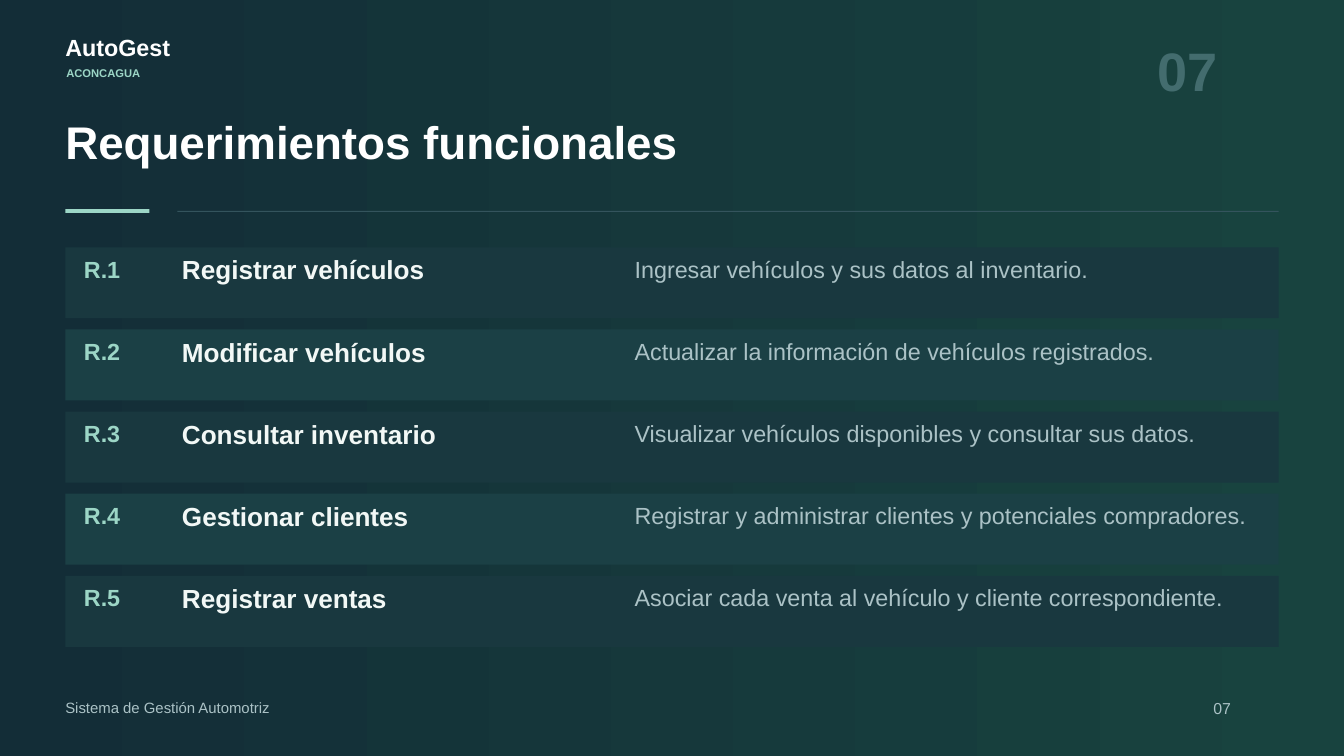
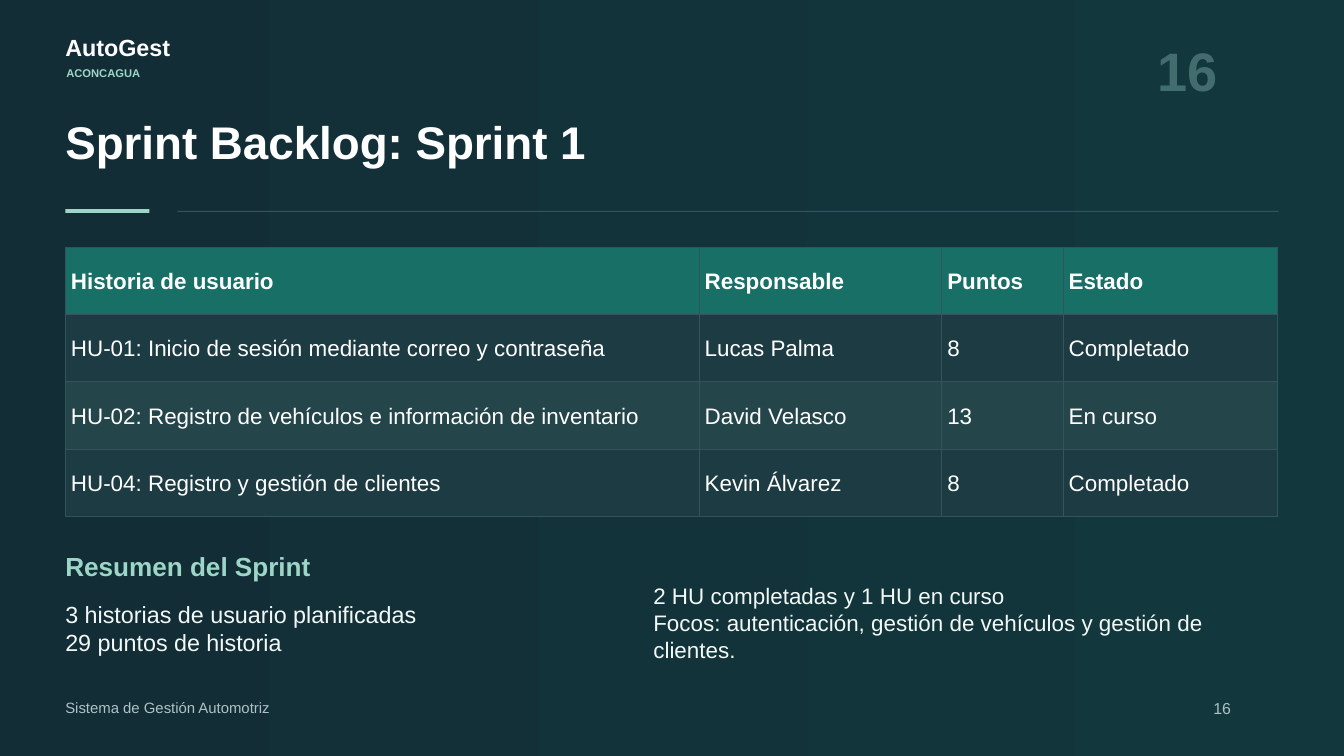
import pptx
import pptx.dml.color
import pptx.enum.shapes
import pptx.enum.text
import pptx.oxml
import pptx.oxml.ns
import pptx.util

RGBColor = pptx.dml.color.RGBColor
Pt = pptx.util.Pt

WHITE = RGBColor(0xFF, 0xFF, 0xFF)
OFF_WHITE = RGBColor(0xF2, 0xF8, 0xF6)
MINT = RGBColor(0x9C, 0xD6, 0xC6)
GREY = RGBColor(0xAB, 0xC2, 0xC6)
FADED = RGBColor(0x43, 0x6C, 0x6E)
LINE = RGBColor(0x34, 0x54, 0x5D)
NIGHT = RGBColor(0x13, 0x2D, 0x37)
FOREST = RGBColor(0x18, 0x43, 0x3F)
DEEP_TEAL = RGBColor(0x12, 0x38, 0x3D)
ROW_FILLS = (RGBColor(0x19, 0x38, 0x3F), RGBColor(0x1B, 0x40, 0x45))
HEADER_FILL = RGBColor(0x17, 0x6F, 0x66)
CELL_FILLS = (RGBColor(0x1C, 0x3B, 0x43), RGBColor(0x24, 0x46, 0x4B))

PX = 12700  # EMU per px
WIDTH, HEIGHT = 1440, 810
LEFT, CONTENT_W, CONTENT_TOP = 70, 1300, 265
TITLE_ONLY, TWO_CONTENT = 5, 3

REQUIREMENTS = (
    ("Registrar vehículos", "Ingresar vehículos y sus datos al inventario."),
    ("Modificar vehículos", "Actualizar la información de vehículos registrados."),
    ("Consultar inventario", "Visualizar vehículos disponibles y consultar sus datos."),
    ("Gestionar clientes", "Registrar y administrar clientes y potenciales compradores."),
    ("Registrar ventas", "Asociar cada venta al vehículo y cliente correspondiente."),
)
BACKLOG = (
    ("Historia de usuario", "Responsable", "Puntos", "Estado"),
    ("HU-01: Inicio de sesión mediante correo y contraseña", "Lucas Palma", "8", "Completado"),
    ("HU-02: Registro de vehículos e información de inventario", "David Velasco", "13", "En curso"),
    ("HU-04: Registro y gestión de clientes", "Kevin Álvarez", "8", "Completado"),
)


def assign(obj, values):
    for name, value in values.items():
        setattr(obj, name, value)


def place(sp, box):
    assign(sp, dict(zip(("left", "top", "width", "height"), (v * PX for v in box))))


class Deck:
    font = "Arial"
    frame = {
        "margin_left": 0, "margin_top": 0, "margin_right": 0, "margin_bottom": 0,
        "word_wrap": True,
        "vertical_anchor": pptx.enum.text.MSO_ANCHOR.TOP,
        "auto_size": pptx.enum.text.MSO_AUTO_SIZE.SHAPE_TO_FIT_TEXT,
    }

    def __init__(self):
        self.prs = pptx.Presentation()
        assign(self.prs, {"slide_width": WIDTH * PX, "slide_height": HEIGHT * PX})
        self.slide = None

    def start(self, layout, number, title, end_color):
        """Add a slide with its gradient, header, title and footer."""
        self.slide = self.prs.slides.add_slide(self.prs.slide_layouts[layout])
        fill = self.slide.background.fill
        fill.gradient()
        fill.gradient_angle = 0
        for stop, color in zip(fill.gradient_stops, (NIGHT, end_color)):
            stop.color.rgb = color
        self.text((LEFT, 35, 240, 35), "AutoGest", 25, WHITE, True)
        self.text((71, 71, 250, 24), "ACONCAGUA", 12, MINT, True)
        self.text((1240, 40, 130, 76), number, 58, FADED, True)
        self.placeholder(0, (LEFT, 122, CONTENT_W, 102), title, 49, WHITE, True)
        self.bar((LEFT, 224, 90, 4), MINT)
        self.bar((190, 226, 1180, 1), LINE)
        self.text((1300, 749, 70, 30), number, 17, GREY)
        self.text((LEFT, 749, 600, 30), "Sistema de Gestión Automotriz", 16, GREY)

    def set_text(self, tf, text, size, color, bold=False):
        tf.text = text
        for p in tf.paragraphs:
            assign(p, {"line_spacing": Pt(size * 1.2), "space_before": Pt(0),
                       "alignment": pptx.enum.text.PP_ALIGN.LEFT})
            for r in p.runs:
                assign(r.font, {"name": self.font, "size": Pt(size), "bold": bold})
                r.font.color.rgb = color

    def text(self, box, *style):
        sp = self.slide.shapes.add_textbox(*(v * PX for v in box))
        assign(sp.text_frame, self.frame)
        self.set_text(sp.text_frame, *style)

    def placeholder(self, idx, box, *style):
        sp = self.slide.placeholders[idx]
        place(sp, box)
        assign(sp.text_frame, self.frame)
        self.set_text(sp.text_frame, *style)
        if idx:
            for p in sp.text_frame.paragraphs:
                self.drop_bullet(p)

    def drop_bullet(self, p):
        pPr = p._p.get_or_add_pPr()
        pPr.set("marL", "0")
        pPr.set("indent", "0")
        pPr.append(pptx.oxml.parse_xml(
            f"<a:buNone {pptx.oxml.ns.nsdecls('a')}/>"))

    def bar(self, box, color):
        sp = self.slide.shapes.add_shape(
            pptx.enum.shapes.MSO_SHAPE.RECTANGLE, *(v * PX for v in box))
        sp.shadow.inherit = False
        sp.fill.solid()
        sp.fill.fore_color.rgb = color
        sp.line.fill.background()

    def table(self, left, top, widths, row_h, rows):
        table = self.slide.shapes.add_table(
            len(rows), len(widths), left * PX, top * PX,
            sum(widths) * PX, row_h * len(rows) * PX).table
        table.horz_banding = False
        for column, width in zip(table.columns, widths):
            column.width = width * PX
        for i, row in enumerate(rows):
            color = CELL_FILLS[(i - 1) % 2] if i else HEADER_FILL
            for j, text in enumerate(row):
                self.cell(table.cell(i, j), text, color, i == 0)

    def cell(self, cell, text, color, bold):
        margins = ("margin_left", "margin_top", "margin_right", "margin_bottom")
        assign(cell, dict.fromkeys(margins, 6 * PX))
        cell.vertical_anchor = pptx.enum.text.MSO_ANCHOR.MIDDLE
        tcPr = cell._tc.get_or_add_tcPr()
        for side in "LRTB":
            tcPr.append(pptx.oxml.parse_xml(
                f"<a:ln{side} {pptx.oxml.ns.nsdecls('a')} w=\"{int(Pt(0.75))}\"><a:solidFill>"
                f"<a:srgbClr val=\"{LINE}\"/></a:solidFill></a:ln{side}>"))
        cell.fill.solid()
        cell.fill.fore_color.rgb = color
        self.set_text(cell.text_frame, text, 24, WHITE, bold)


def requirements_slide(deck):
    deck.start(TITLE_ONLY, "07", "Requerimientos funcionales", FOREST)
    for i, (name, detail) in enumerate(REQUIREMENTS):
        top = CONTENT_TOP + 88 * i
        deck.bar((LEFT, top, CONTENT_W, 76), ROW_FILLS[i % 2])
        deck.text((90, top + 8, 88, 42), f"R.{i + 1}", 25, MINT, True)
        deck.text((195, top + 7, 440, 43), name, 28, OFF_WHITE, True)
        deck.text((680, top + 8, 665, 66), detail, 25, GREY)


def sprint_slide(deck):
    deck.start(TWO_CONTENT, "16", "Sprint Backlog: Sprint 1", DEEP_TEAL)
    deck.table(LEFT, CONTENT_TOP, (679, 260, 130, 230), 72, BACKLOG)
    deck.text((LEFT, 590, 660, 47), "Resumen del Sprint", 28, MINT, True)
    deck.placeholder(1, (LEFT, 643, 560, 68),
                     "3 historias de usuario planificadas\n29 puntos de historia",
                     25, OFF_WHITE)
    deck.placeholder(2, (700, 624, 670, 86),
                     "2 HU completadas y 1 HU en curso\n"
                     "Focos: autenticación, gestión de vehículos y gestión de clientes.",
                     24, OFF_WHITE)


def main():
    deck = Deck()
    requirements_slide(deck)
    sprint_slide(deck)
    deck.prs.save("out.pptx")


if __name__ == "__main__":
    main()
